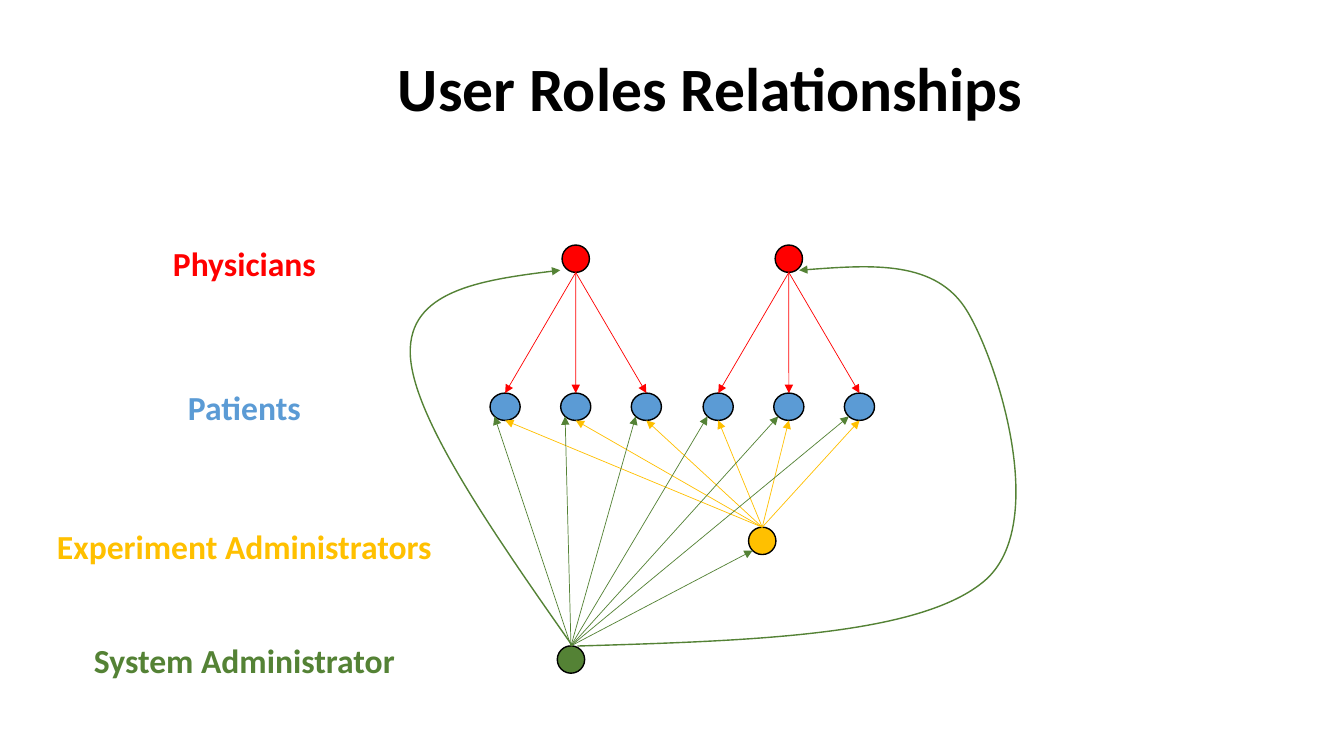
from lxml.etree import SubElement
from pptx import Presentation
from pptx.dml.color import RGBColor
from pptx.enum.shapes import MSO_CONNECTOR as CONNECTOR, MSO_SHAPE as SHAPE
from pptx.enum.text import MSO_AUTO_SIZE as AUTO_SIZE, PP_ALIGN as ALIGN
from pptx.oxml.ns import qn
from pptx.util import Cm, Pt

COLORS = {
    "title": "000000",
    "outline": "000000",
    "physician": "FF0000",
    "patient": "5B9BD5",
    "experiment": "FFC000",
    "system": "548235",
}
DOT = 0.69
PATIENT_WIDTH = 0.76
PATIENT_GAP = 1.78
DIAGONAL = 0.5 ** 0.5

# Ellipse connection sites: index, horizontal and vertical share of the radius
SITES = {
    "top": (0, 0, -1),
    "lower left": (3, -DIAGONAL, DIAGONAL),
    "bottom": (4, 0, 1),
}

# Role, label, width and top of the label
LABELS = [
    ("physician", "Physicians", 4.14, 5.99),
    ("patient", "Patients", 3.4, 9.63),
    ("experiment", "Experiment Administrators", 10.06, 13.13),
    ("system", "System Administrator", 8.18, 16),
]
LABEL_CENTER = 6.16

# Start point, then two control points and an end point for each curve
LEFT_CURVE = [
    (14.43, 16.28),
    (12.4, 13.39), (10.39, 10.49), (10.34, 8.92),
    (10.29, 7.34), (12.19, 7.04), (14.12, 6.81),
]
RIGHT_CURVE = [
    (14.55, 16.28),
    (18.87, 16.15), (23.19, 16.03), (24.82, 14.63),
    (26.44, 13.23), (25.17, 9.17), (24.38, 7.85),
    (23.6, 6.55), (21.87, 6.68), (20.14, 6.81),
]


def set_format(target, values):
    """Set each attribute of target that values names."""
    for name, value in values.items():
        setattr(target, name, value)


def color(role):
    """Return the colour of a role."""
    return RGBColor.from_string(COLORS[role])


def style_line(line, role, width):
    """Give a line its colour and width in points."""
    line.color.rgb = color(role)
    line.width = Pt(width)


def add_arrowhead(shape):
    """Put a triangle at the end of a styled line."""
    outline = shape.line._get_or_add_ln()
    SubElement(outline, qn("a:tailEnd"), type="triangle")


def add_label(slide, role, text, center, top, width, height, size):
    """Add a bold one-line text centred on a given x."""
    box = slide.shapes.add_textbox(
        Cm(center - width / 2), Cm(top), Cm(width), Cm(height))
    set_format(box.text_frame,
               {"word_wrap": False, "auto_size": AUTO_SIZE.SHAPE_TO_FIT_TEXT})
    paragraph = box.text_frame.paragraphs[0]
    paragraph.alignment = ALIGN.CENTER
    run = paragraph.add_run()
    run.text = text
    set_format(run.font, {"name": "Calibri", "size": Pt(size), "bold": True})
    run.font.color.rgb = color(role)


def add_dot(slide, role, x, y, width=DOT):
    """Add the ellipse of one user, centred on x and y."""
    dot = slide.shapes.add_shape(
        SHAPE.OVAL, Cm(x - width / 2), Cm(y - DOT / 2), Cm(width), Cm(DOT))
    dot.shadow.inherit = False
    dot.fill.solid()
    dot.fill.fore_color.rgb = color(role)
    style_line(dot.line, "outline", 1)
    return dot


def site_point(dot, site):
    """Return the place of a connection site on a dot."""
    _, across, down = SITES[site]
    return (int(dot.left + dot.width * (1 + across) / 2),
            int(dot.top + dot.height * (1 + down) / 2))


def add_arrow(slide, role, source, source_site, target, target_site):
    """Add a straight arrow glued to two dots."""
    arrow = slide.shapes.add_connector(
        CONNECTOR.STRAIGHT,
        *site_point(source, source_site), *site_point(target, target_site))
    style_line(arrow.line, role, 0.5)
    add_arrowhead(arrow)
    SubElement(arrow._element.spPr, qn("a:effectLst"))
    glue = arrow._element.nvCxnSpPr.cNvCxnSpPr
    for tag, dot, site in (("a:stCxn", source, source_site),
                           ("a:endCxn", target, target_site)):
        SubElement(glue, qn(tag), id=str(dot.shape_id), idx=str(SITES[site][0]))


def add_curved_arrow(slide, role, points):
    """Add an open outline of cubic curves with an arrowhead."""
    start, *others = [(Cm(x), Cm(y)) for x, y in points]
    builder = slide.shapes.build_freeform(*start)
    builder.add_line_segments(others, close=False)
    curve = builder.convert_to_shape()
    outline = curve._element.find(".//" + qn("a:path"))
    segments = outline.findall(qn("a:lnTo"))
    for first in range(0, len(segments), 3):
        bezier = SubElement(outline, qn("a:cubicBezTo"))
        for segment in segments[first:first + 3]:
            bezier.append(segment[0])
            outline.remove(segment)
    curve.shadow.inherit = False
    curve.fill.background()
    style_line(curve.line, role, 1)
    add_arrowhead(curve)


def main():
    """Build the slide and save it."""
    presentation = Presentation()
    set_format(presentation,
               {"slide_width": Cm(33.87), "slide_height": Cm(19.05)})
    slide = presentation.slides.add_slide(presentation.slide_layouts[6])

    add_label(slide, "title", "User Roles Relationships",
              17.91, 1.14, 16.41, 2.13, 44)
    for role, text, width, top in LABELS:
        add_label(slide, role, text, LABEL_CENTER, top, width, 1.27, 24)

    patients = []
    for x in (14.51, 19.88):
        physician = add_dot(slide, "physician", x, 6.52)
        group = [add_dot(slide, "patient", x + step * PATIENT_GAP, 10.25,
                         PATIENT_WIDTH) for step in (-1, 0, 1)]
        for patient in group:
            add_arrow(slide, "physician", physician, "bottom", patient, "top")
        patients += group

    experiment = add_dot(slide, "experiment", 19.21, 13.63)
    for patient in patients:
        add_arrow(slide, "experiment", experiment, "top", patient, "bottom")

    system = add_dot(slide, "system", 14.39, 16.62)
    for user in patients + [experiment]:
        add_arrow(slide, "system", system, "top", user, "lower left")
    for points in (LEFT_CURVE, RIGHT_CURVE):
        add_curved_arrow(slide, "system", points)

    presentation.save("out.pptx")


main()
